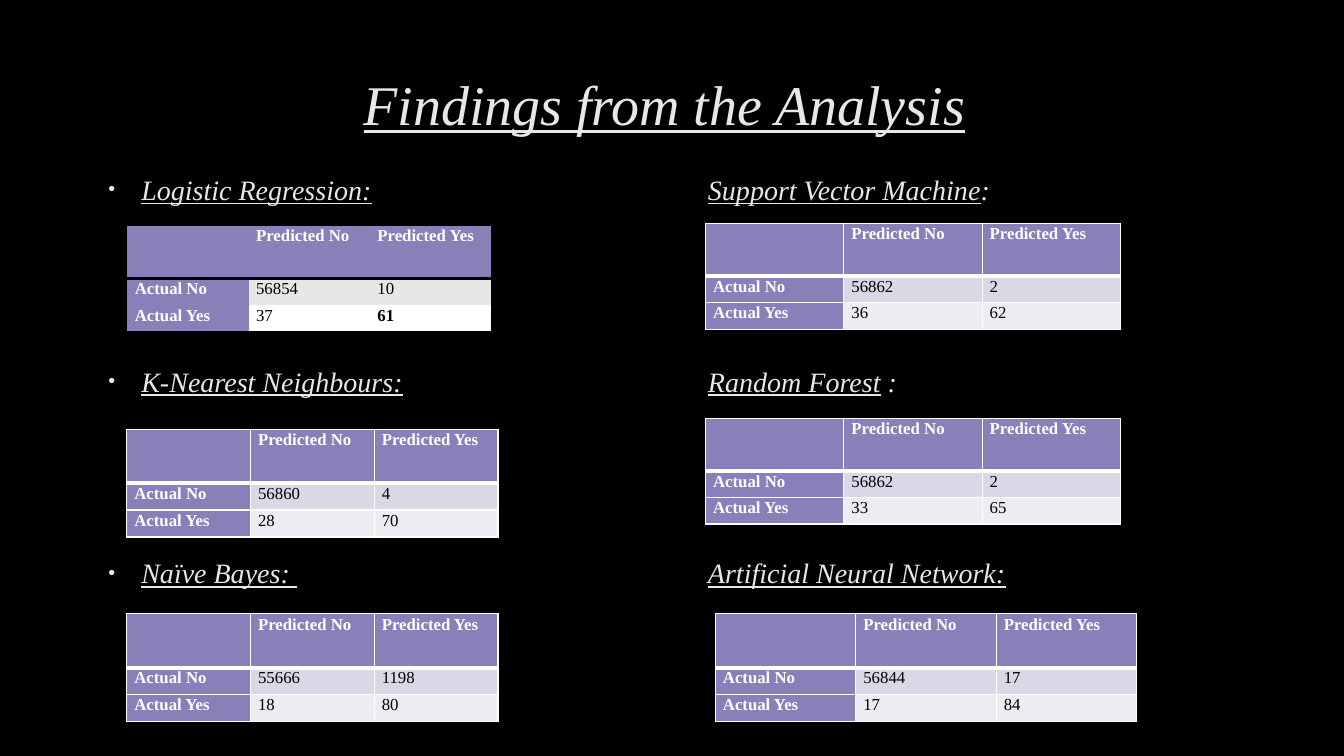
from lxml.etree import SubElement
from pptx import Presentation
from pptx.dml.color import RGBColor
from pptx.enum.text import MSO_ANCHOR as Anchor, MSO_AUTO_SIZE as AutoSize, PP_ALIGN as Align
from pptx.oxml.ns import qn
from pptx.util import Pt

COLORS = {
    "black": "000000", "white": "FFFFFF", "text": "E4E8EA", "purple": "8B7FBA",
    "lilac": "DAD8E7", "pale": "EEECF3", "grey": "E7E7E7",
}
WHITE_GRID = {"color": "white", "sides": "LRTB", "thin": 1, "thick": 3, "bands": ("lilac", "pale")}
BLACK_RULES = {"color": "black", "sides": "TB", "thin": 0, "thick": 2, "bands": ("grey", "white")}

LEFT_HEADINGS = [
    [("Logistic Regression:", True)],
    [("K-Nearest Neighbours:", True)],
    [("Naïve Bayes: ", True)],
]
RIGHT_HEADINGS = [
    [("Support Vector Machine", True), (":", False)],
    [("Random Forest", True), (" :", False)],
    [("Artificial Neural Network:", True)],
]
MATRICES = [
    (90.9, 160.9, 260, 76.4, [56854, 10, 37, 61], BLACK_RULES),
    (90.6, 306.6, 265.2, 77, [56860, 4, 28, 70], WHITE_GRID),
    (90.6, 438.4, 265.2, 77, [55666, 1198, 18, 80], WHITE_GRID),
    (504, 159.6, 296.4, 75.6, [56862, 2, 36, 62], WHITE_GRID),
    (504, 298.8, 296.4, 75.6, [56862, 2, 33, 65], WHITE_GRID),
    (511, 438.4, 301, 77, [56844, 17, 17, 84], WHITE_GRID),
]


class Deck:
    font = "Times New Roman"

    def __init__(self, prs):
        self.s = prs.slides.add_slide(prs.slide_layouts[3])
        fill = self.s.background.fill
        fill.solid()
        fill.fore_color.rgb = self.rgb("black")

    def rgb(self, name):
        return RGBColor.from_string(COLORS[name])

    def run(self, p, text, size, color, bold=False, italic=False, underline=False):
        r = p.add_run()
        r.text = text
        f = r.font
        f.name, f.size, f.bold, f.italic, f.underline = self.font, Pt(size), bold, italic, underline
        f.color.rgb = self.rgb(color)

    def placeholder(self, idx, left, top, width, height, anchor):
        sp = self.s.placeholders[idx]
        sp.left, sp.top, sp.width, sp.height = Pt(left), Pt(top), Pt(width), Pt(height)
        tf = sp.text_frame
        tf.auto_size, tf.vertical_anchor = AutoSize.NONE, anchor
        return tf

    def title(self, text, *box):
        p = self.placeholder(0, *box, Anchor.MIDDLE).paragraphs[0]
        p.alignment = Align.CENTER
        self.run(p, text, 40, "text", italic=True, underline=True)

    def headings(self, idx, box, items, bulleted):
        tf = self.placeholder(idx, *box, Anchor.TOP)
        for i, runs in enumerate(items):
            p = tf.add_paragraph() if i else tf.paragraphs[0]
            p.space_before, p.space_after = Pt(113 if i else 0), Pt(0)
            self.bullet(p, bulleted)
            for text, underline in runs:
                self.run(p, text, 20, "text", italic=True, underline=underline)

    def bullet(self, p, shown):
        pPr = p._p.get_or_add_pPr()
        pPr.set("marL", str(Pt(27 if shown else 0)))
        pPr.set("indent", str(Pt(-23.4 if shown else 0)))
        if shown:
            SubElement(SubElement(pPr, qn("a:buClr")), qn("a:srgbClr"), val=COLORS["text"])
            SubElement(pPr, qn("a:buSzPct"), val="70000")
            SubElement(pPr, qn("a:buFont"), typeface="Arial")
            SubElement(pPr, qn("a:buChar"), char="•")
        else:
            SubElement(pPr, qn("a:buNone"))

    def borders(self, cell, color, widths):
        tcPr = cell._tc.get_or_add_tcPr()
        for side, width in widths.items():
            ln = SubElement(tcPr, qn("a:ln" + side), w=str(Pt(width)))
            if width:
                SubElement(SubElement(ln, qn("a:solidFill")), qn("a:srgbClr"), val=COLORS[color])
            else:
                SubElement(ln, qn("a:noFill"))

    def matrix(self, left, top, width, height, values, look):
        tbl = self.s.shapes.add_table(3, 3, Pt(left), Pt(top), Pt(width), Pt(height)).table
        tbl.first_row = tbl.horz_banding = False
        for col in tbl.columns:
            col.width = Pt(width / 3)
        for row, share in zip(tbl.rows, (2, 4, 4)):
            row.height = Pt(height / share)
        rows = [["", "Predicted No", "Predicted Yes"],
                ["Actual No", *values[:2]], ["Actual Yes", *values[2:]]]
        for i, row in enumerate(rows):
            for j, value in enumerate(row):
                self.cell(tbl.cell(i, j), i, j, str(value), look)

    def cell(self, cell, i, j, text, look):
        label = i == 0 or j == 0
        widths = {side: look["thin"] for side in "LRTB"}
        if i == 0:
            widths["B"] = look["thick"]
        if i == 1:
            widths["T"] = look["thick"]
        if look is BLACK_RULES and i != 1:
            widths["B" if i else "T"] = look["thick"]
        self.borders(cell, look["color"], widths)
        cell.fill.solid()
        cell.fill.fore_color.rgb = self.rgb("purple" if label else look["bands"][i - 1])
        cell.margin_left = cell.margin_right = Pt(5.4)
        cell.margin_top = cell.margin_bottom = Pt(0)
        if text:
            p = cell.text_frame.paragraphs[0]
            p.alignment, p.line_spacing, p.space_after = Align.JUSTIFY, 1.07, Pt(8)
            bold = label or (look is BLACK_RULES and i == j == 2)
            self.run(p, text, 12, "white" if label else "black", bold=bold)


def main():
    prs = Presentation()
    prs.slide_width, prs.slide_height = Pt(960), Pt(540)
    deck = Deck(prs)
    deck.title("Findings from the Analysis", 67, 15, 815, 117)
    deck.headings(1, (66.7, 119.5, 420, 405), LEFT_HEADINGS, True)
    deck.headings(2, (498.5, 119.5, 383.5, 405), RIGHT_HEADINGS, False)
    for matrix in MATRICES:
        deck.matrix(*matrix)
    prs.save("out.pptx")


if __name__ == "__main__":
    main()
